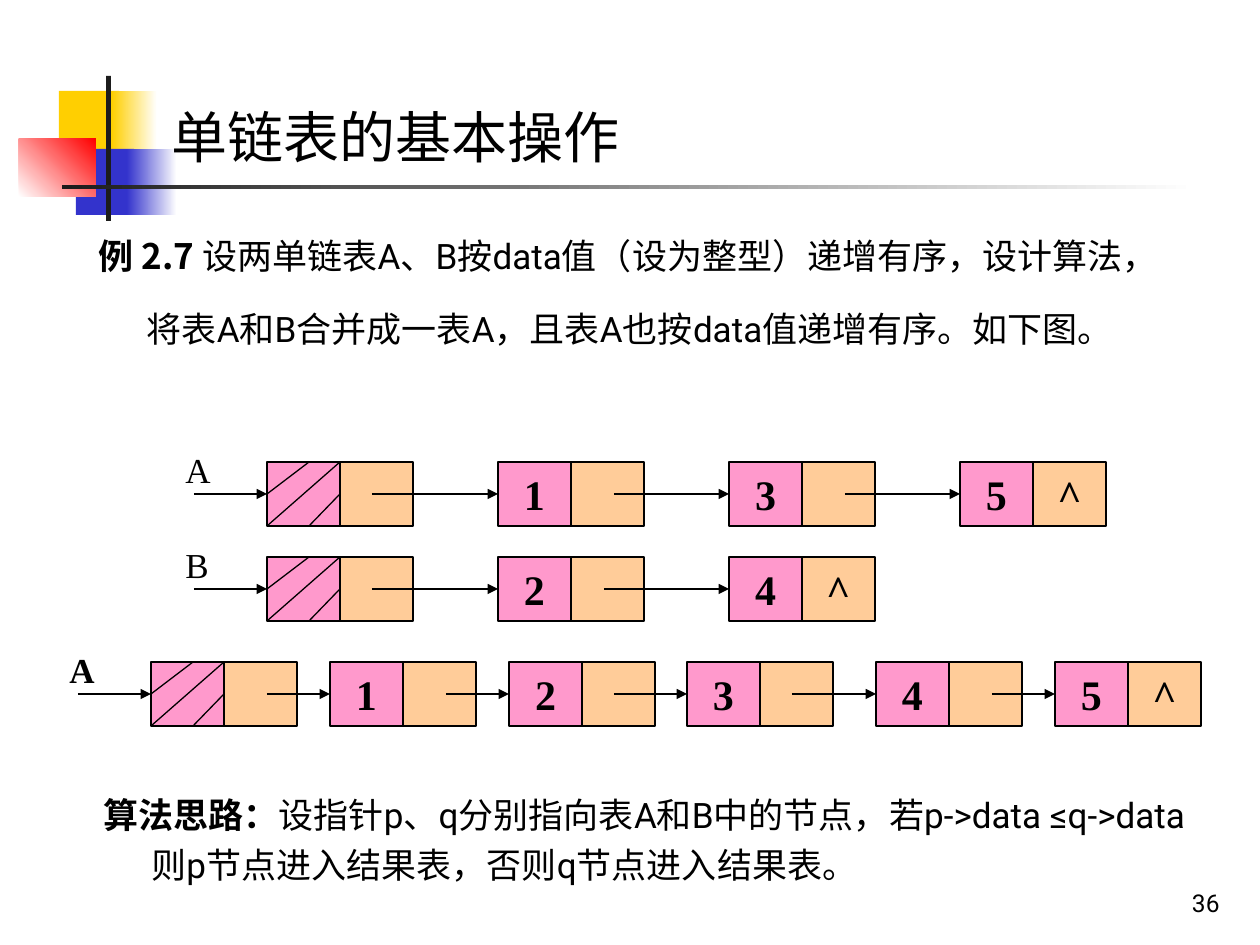
from lxml.etree import SubElement
from pptx import Presentation
from pptx.dml.color import RGBColor
from pptx.enum.shapes import MSO_CONNECTOR as Connector, MSO_SHAPE as Shape
from pptx.enum.text import MSO_ANCHOR as Anchor, MSO_AUTO_SIZE as AutoSize, PP_ALIGN as Align
from pptx.oxml.ns import qn
from pptx.util import Emu, Pt

PX_PER_INCH = 126
BLACK = RGBColor(0x00, 0x00, 0x00)
WHITE = RGBColor(0xFF, 0xFF, 0xFF)
CHARCOAL = RGBColor(0x1C, 0x1C, 0x1C)
YELLOW = RGBColor(0xFF, 0xCF, 0x01)
BLUE = RGBColor(0x33, 0x33, 0xCC)
RED = RGBColor(0xFF, 0x00, 0x00)
PINK = RGBColor(0xFF, 0x99, 0xCC)
PEACH = RGBColor(0xFF, 0xCC, 0x99)
SERIF = "Times New Roman"
SANS = "Roboto"
CJK = "Noto Sans CJK SC"
TITLE_FONT = "Noto Sans CJK JP"
CELL_WIDTH, CELL_HEIGHT = 73, 64
MIDDLE = CELL_HEIGHT // 2


def px(length):
    return Emu(round(length * 914400 / PX_PER_INCH))


def place(shape, left, top, width, height):
    shape.left, shape.top = px(left), px(top)
    shape.width, shape.height = px(width), px(height)


def add_run(paragraph, text, size, name, bold=False, east_asian=CJK):
    run = paragraph.add_run()
    run.text = text
    font = run.font
    font.size, font.name, font.bold = Pt(size), name, bold
    font.color.rgb = BLACK
    SubElement(run.font._element, qn("a:ea")).set("typeface", east_asian)


def add_textbox(slide, left, top, width, height):
    box = slide.shapes.add_textbox(px(left), px(top), px(width), px(height))
    box.text_frame.word_wrap = True
    return box


def add_rectangle(slide, left, top, width, height):
    shape = slide.shapes.add_shape(Shape.RECTANGLE, px(left), px(top), px(width), px(height))
    shape.shadow.inherit = False
    return shape


def add_block(slide, left, top, width, height, start, end=None, angle=0):
    block = add_rectangle(slide, left, top, width, height)
    block.line.fill.background()
    if end is None:
        block.fill.solid()
        block.fill.fore_color.rgb = start
        return
    block.fill.gradient()
    block.fill.gradient_angle = angle
    for stop, color, position in zip(block.fill.gradient_stops, (start, end), (0, 1)):
        stop.color.rgb = color
        stop.position = position


def add_line(slide, start, end, arrow=False):
    line = slide.shapes.add_connector(Connector.STRAIGHT, *map(px, start + end))
    line.line.color.rgb = BLACK
    line.line.width = Pt(0.75)
    if arrow:
        SubElement(line.line._get_or_add_ln(), qn("a:tailEnd")).set("type", "triangle")
    SubElement(line._element.spPr, qn("a:effectLst"))


def add_cell(slide, left, top, color, text=""):
    cell = add_rectangle(slide, left, top, CELL_WIDTH, CELL_HEIGHT)
    cell.fill.solid()
    cell.fill.fore_color.rgb = color
    cell.line.color.rgb = BLACK
    cell.line.width = Pt(0.75)
    if text:
        cell.text_frame.vertical_anchor = Anchor.MIDDLE
        paragraph = cell.text_frame.paragraphs[0]
        paragraph.alignment = Align.CENTER
        add_run(paragraph, text, 24, SERIF, True)


def add_head(slide, left, top, label, bold):
    add_cell(slide, left, top, PINK)
    add_cell(slide, left + CELL_WIDTH, top, PEACH)
    box = add_textbox(slide, left - 94, top - 20, 53, 55)
    add_run(box.text_frame.paragraphs[0], label, 20, SERIF, bold)
    add_line(slide, (left - 73, top + MIDDLE), (left, top + MIDDLE), True)
    right, bottom, notch = left + CELL_WIDTH, top + CELL_HEIGHT, left + 42
    add_line(slide, (notch, top), (left, top + MIDDLE))
    add_line(slide, (right, top), (left, bottom))
    add_line(slide, (right, top + MIDDLE), (notch, bottom))


def add_linked_list(slide, left, top, label, nodes, bold=False):
    add_head(slide, left, top, label, bold)
    for index, (offset, value, arrow_start) in enumerate(nodes):
        node_left = left + offset
        is_last = index == len(nodes) - 1
        add_cell(slide, node_left, top, PINK, value)
        add_cell(slide, node_left + CELL_WIDTH, top, PEACH, "^" if is_last else "")
        add_line(slide, (left + arrow_start, top + MIDDLE), (node_left, top + MIDDLE), True)


def add_decoration(slide, left, top):
    add_block(slide, left + 40, top + 15, 60, 66, YELLOW)
    add_block(slide, left + 93, top + 15, 45, 66, YELLOW, WHITE)
    add_block(slide, left + 57, top + 73, 58, 66, BLUE)
    add_block(slide, left + 108, top + 73, 50, 66, BLUE, WHITE)
    add_block(slide, left, top + 63, 77, 58, WHITE, RED, 45)
    add_block(slide, left + 87, top, 5, 145, CHARCOAL)
    add_block(slide, left + 43, top + 109, 1134, 4, CHARCOAL, WHITE)


def fill_title(slide, left, top, width, height):
    title = slide.shapes.title
    place(title, left, top, width, height)
    frame = title.text_frame
    frame.auto_size = AutoSize.NONE
    frame.vertical_anchor = Anchor.MIDDLE
    paragraph = frame.paragraphs[0]
    paragraph.alignment = Align.LEFT
    add_run(paragraph, "单链表的基本操作", 32, TITLE_FONT, east_asian=TITLE_FONT)
    title.element.getparent().append(title.element)


def fill_hanging(frame, spacing, lead, lead_font, text):
    frame.auto_size = AutoSize.NONE
    paragraph = frame.paragraphs[0]
    properties = paragraph._p.get_or_add_pPr()
    properties.set("marL", str(px(48)))
    properties.set("indent", str(-px(48)))
    SubElement(properties, qn("a:buNone"))
    paragraph.line_spacing = spacing
    paragraph.space_before = Pt(0)
    add_run(paragraph, lead, 20, lead_font, True)
    add_run(paragraph, text, 20, SANS)
    return paragraph


def fill_problem(slide, left, top, width, height):
    body = slide.placeholders[1]
    place(body, left, top, width, height)
    paragraph = fill_hanging(
        body.text_frame, 1.15, "例 2.7 ", CJK,
        "设两单链表A、B按data值（设为整型）递增有序，设计算法，"
        "将表A和B合并成一表A，且表A也按data值递增有序。如下图。")
    add_run(paragraph, " ", 32, SANS)


def add_idea(slide, left, top, width, height):
    box = add_textbox(slide, left, top, width, height)
    fill_hanging(
        box.text_frame, 1.2, "算法思路：", SERIF,
        "设指针p、q分别指向表A和B中的节点，若p->data ≤q->data"
        "则p节点进入结果表，否则q节点进入结果表。")


def add_page_number(slide, left, top, width, height):
    box = add_textbox(slide, left, top, width, height)
    box.text_frame.vertical_anchor = Anchor.BOTTOM
    paragraph = box.text_frame.paragraphs[0]
    paragraph.alignment = Align.RIGHT
    add_run(paragraph, "36", 14, SANS)


def main():
    presentation = Presentation()
    presentation.slide_width, presentation.slide_height = px(1260), px(945)
    slide = presentation.slides.add_slide(presentation.slide_layouts[1])
    add_decoration(slide, 19, 76)
    fill_title(slide, 159, 96, 1101, 81)
    fill_problem(slide, 86, 222, 1118, 202)
    add_linked_list(slide, 267, 462, "A", [(231, "1", 105), (462, "3", 347), (693, "5", 578)])
    add_linked_list(slide, 267, 557, "B", [(231, "2", 105), (462, "4", 337)])
    add_linked_list(slide, 151, 662, "A", [
        (179, "1", 116), (358, "2", 295), (536, "3", 463), (725, "4", 641), (904, "5", 841)], True)
    add_idea(slide, 91, 779, 1139, 123)
    add_page_number(slide, 970, 861, 262, 63)
    presentation.save("out.pptx")


if __name__ == "__main__":
    main()
